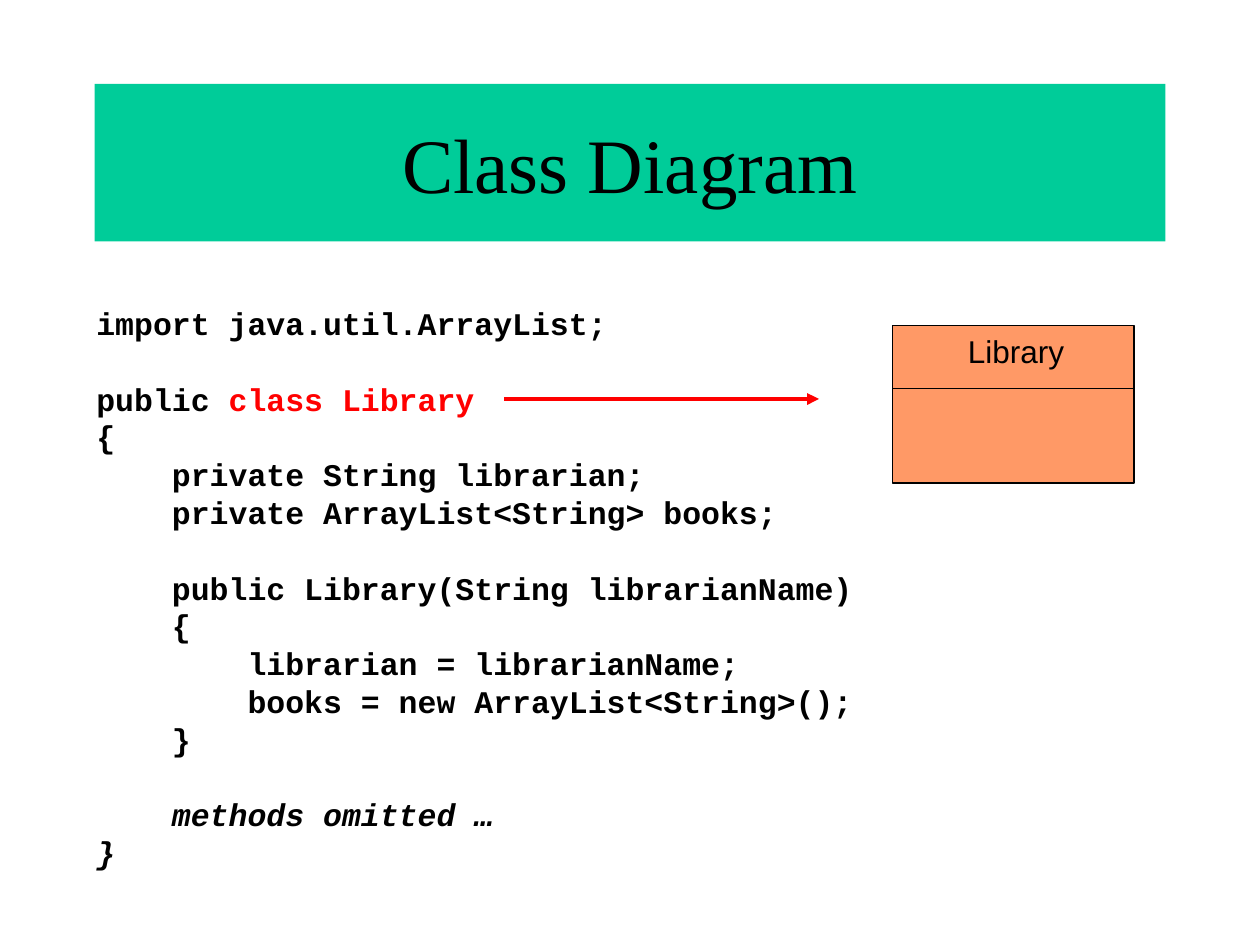
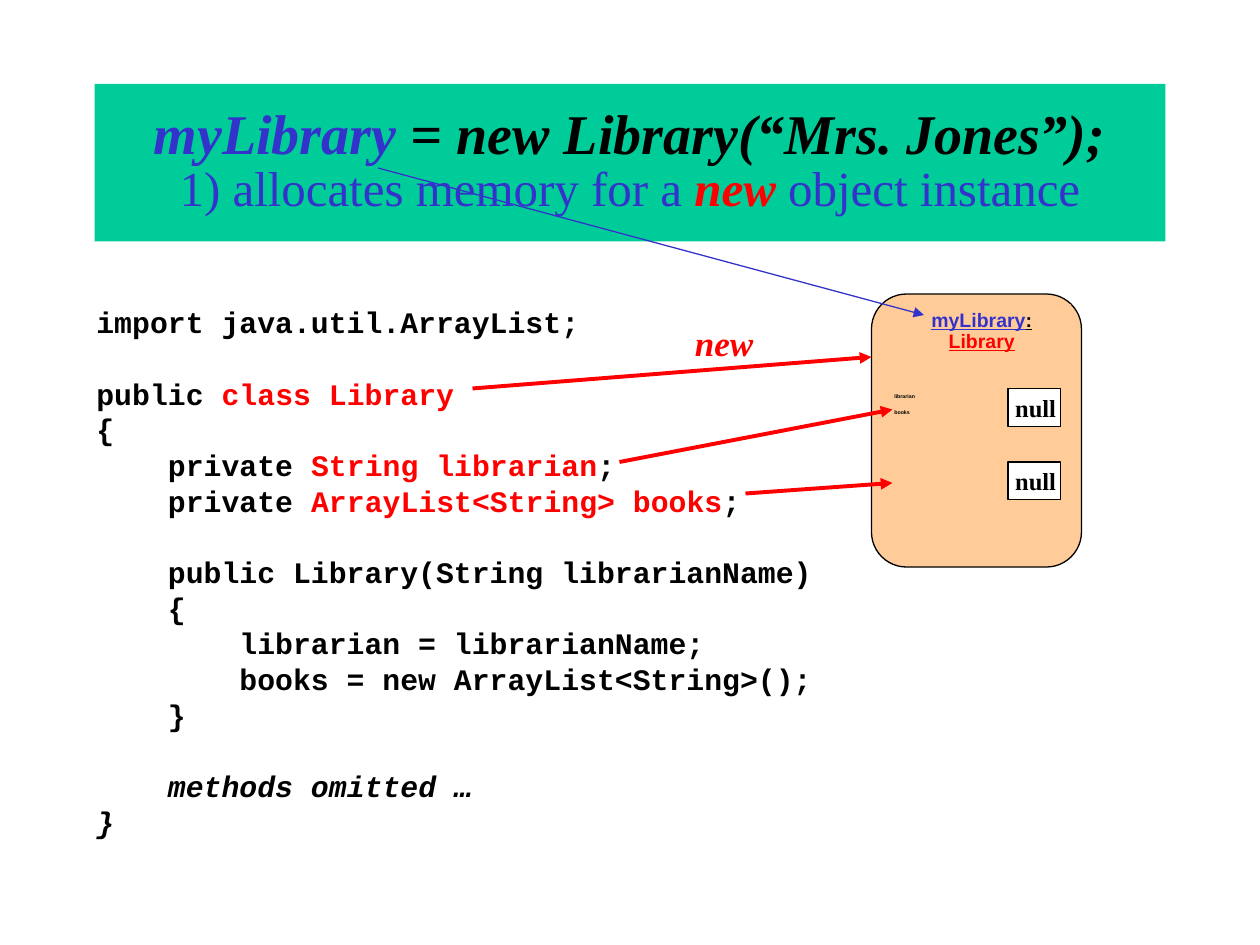
from dataclasses import dataclass, replace

from lxml.etree import SubElement
from pptx import Presentation
from pptx.dml.color import RGBColor
from pptx.enum.shapes import MSO_CONNECTOR as Connector, MSO_SHAPE as Shape
from pptx.enum.text import MSO_ANCHOR as Anchor, MSO_AUTO_SIZE as AutoSize, PP_ALIGN as Align
from pptx.oxml.ns import qn
from pptx.util import Inches, Pt

COLUMNS, ROWS = 120, 90
WIDTH, HEIGHT = Inches(10), Inches(7.5)


@dataclass(frozen=True)
class Style:
    """Look of one run of text."""
    font: str
    size: float
    color: str = "000000"
    bold: bool = False
    italic: bool = False
    underline: bool = False


class Theme:
    BLACK, WHITE, RED, BLUE = "000000", "FFFFFF", "FF0000", "3333CC"
    BAND, CLASS_FILL, OBJECT_FILL = "00CC99", "FF9966", "FFCC99"
    THIN, THICK = 0.75, 2.25
    TITLE = Style("Times New Roman", 44)
    CALL = Style("Times New Roman", 32, bold=True, italic=True)
    STEP = Style("Times New Roman", 28, BLUE)
    CODE = Style("Courier New", 18, bold=True)
    CLASS_NAME = Style("Arial", 18)
    OBJECT_NAME = Style("Arial", 11.1, bold=True, underline=True)
    FIELD = Style("Arial", 3, bold=True)
    VALUE = Style("Times New Roman", 14, bold=True)
    KEYWORD = Style("Times New Roman", 20, RED, bold=True, italic=True)


@dataclass(frozen=True)
class Box:
    """Area in grid columns and rows."""
    left: float
    top: float
    width: float
    height: float

    def inner(self, column, row, width, height):
        return Box(self.left + column, self.top + row, width, height)

    def point(self, column, row):
        return self.left + column, self.top + row

    def lengths(self):
        return (across(self.left), down(self.top), across(self.width), down(self.height))


TITLE_BOX = Box(9, 8, 102, 15)
CODE_BOX = Box(8, 28, 97, 57)


def across(columns):
    return round(WIDTH * columns / COLUMNS)


def down(rows):
    return round(HEIGHT * rows / ROWS)


def rgb(color):
    return RGBColor.from_string(color)


# Text helpers
def add_span(para, text, style):
    span = para.add_run()
    span.text = text
    font = span.font
    font.name, font.size = style.font, Pt(style.size)
    font.bold, font.italic, font.underline = style.bold, style.italic, style.underline
    font.color.rgb = rgb(style.color)


def add_break(para, style):
    para.add_line_break()
    line_break = para._p.findall(qn("a:br"))[-1]
    SubElement(line_break, qn("a:rPr"), sz=str(style.size * 100))


def fill_text(frame, lines, align=Align.LEFT, spacing=None, gap=0):
    """Write lines, each a list of (text, style) spans."""
    frame.word_wrap = True
    frame.vertical_anchor = Anchor.TOP
    for index, spans in enumerate(lines):
        para = frame.add_paragraph() if index else frame.paragraphs[0]
        para.alignment = align
        if spacing:
            para.line_spacing = spacing
        if index and gap:
            para.space_before = Pt(gap)
        for text, style in spans:
            add_span(para, text, style)


def add_label(page, box, lines, **layout):
    fill_text(page.shapes.add_textbox(*box.lengths()).text_frame, lines, **layout)


# Drawing helpers
def add_block(page, box, fill, kind=Shape.RECTANGLE, outlined=True):
    block = page.shapes.add_shape(kind, *box.lengths())
    block.shadow.inherit = False
    block.fill.solid()
    block.fill.fore_color.rgb = rgb(fill)
    if outlined:
        block.line.color.rgb = rgb(Theme.BLACK)
        block.line.width = Pt(Theme.THIN)
    else:
        block.line.fill.background()
    return block


def add_line(page, start, end, color=Theme.RED, width=Theme.THICK, arrow=True):
    line = page.shapes.add_connector(Connector.STRAIGHT, across(start[0]), down(start[1]),
                                     across(end[0]), down(end[1]))
    line.line.color.rgb = rgb(color)
    line.line.width = Pt(width)
    properties = line._element.spPr
    if arrow:
        SubElement(properties.find(qn("a:ln")), qn("a:tailEnd"), type="triangle")
    SubElement(properties, qn("a:effectLst"))


# Title band
def add_title(page, box, lines, spacing=1.0):
    title = page.shapes.title
    title.left, title.top, title.width, title.height = box.lengths()
    title.fill.solid()
    title.fill.fore_color.rgb = rgb(Theme.BAND)
    frame = title.text_frame
    frame.auto_size = AutoSize.NONE
    frame.word_wrap = True
    frame.vertical_anchor = Anchor.MIDDLE
    para = frame.paragraphs[0]
    para.alignment = Align.CENTER
    para.line_spacing = spacing
    for index, spans in enumerate(lines):
        if index:
            add_break(para, lines[index - 1][0][1])
        for text, style in spans:
            add_span(para, text, style)


# Code listing
def library_code(style, mark_fields):
    """Return the blocks of the Library class, each a list of lines."""
    red = replace(style, color=Theme.RED)
    slanted = replace(style, italic=True)
    field = red if mark_fields else style

    def plain(*texts):
        return [[(text, style)] for text in texts]

    return [
        plain("import java.util.ArrayList;"),
        [
            [("public ", style), ("class Library", red)],
            [("{", style)],
            [("    private ", style), ("String librarian", field), (";", style)],
            [("    private ", style), ("ArrayList<String> books", field), (";", style)],
        ],
        plain("    public Library(String librarianName)",
              "    {",
              "        librarian = librarianName;",
              "        books = new ArrayList<String>();",
              "    }"),
        [[("    ", style), ("methods omitted …", slanted)], [("}", slanted)]],
    ]


def add_code(page, box, size, mark_fields=False):
    frame = page.shapes.add_textbox(*box.lengths()).text_frame
    frame.margin_top = Inches(0.08)
    pitch = Pt(size * 1.2)
    blocks = library_code(replace(Theme.CODE, size=size), mark_fields)
    fill_text(frame, [line for block in blocks for line in block], spacing=pitch)
    # One free line above every block but the first
    first = 0
    for block in blocks[:-1]:
        first += len(block)
        frame.paragraphs[first].space_before = pitch


# Class box with a name compartment
def add_class_box(page, box):
    add_block(page, box, Theme.CLASS_FILL)
    add_label(page, box.inner(6, 0, 12, 4.8), [[("Library", Theme.CLASS_NAME)]])
    add_line(page, box.point(0, 6), box.point(box.width, 6),
             Theme.BLACK, Theme.THIN, arrow=False)


# Object box with its fields and their values
def add_object_box(page, box):
    name = Theme.OBJECT_NAME
    add_block(page, box, Theme.OBJECT_FILL, Shape.FLOWCHART_ALTERNATE_PROCESS)
    header = add_block(page, box.inner(2, 1, 17, 5.8), Theme.OBJECT_FILL, outlined=False)
    fill_text(header.text_frame,
              [[("myLibrary", replace(name, color=Theme.BLUE)), (":", name)],
               [("Library", replace(name, color=Theme.RED))]],
              align=Align.CENTER, spacing=0.9)
    fields = add_block(page, box.inner(1, 9, 12, 4), Theme.OBJECT_FILL, outlined=False)
    fill_text(fields.text_frame, [[(field, Theme.FIELD)] for field in ("librarian", "books")],
              spacing=0.8, gap=6.2)
    for row in (9, 16):
        add_block(page, box.inner(13, row, 5, 3.6), Theme.WHITE)
    add_label(page, box.inner(12.5, 8.8, 8, 11), [[("null", Theme.VALUE)]] * 2, gap=25.4)


# Slides
def add_page(deck):
    return deck.slides.add_slide(deck.slide_layouts[5])


def class_slide(deck):
    page = add_page(deck)
    add_title(page, TITLE_BOX, [[("Class Diagram", Theme.TITLE)]])
    add_code(page, CODE_BOX, 18)
    class_box = Box(85, 31, 23, 15)
    add_class_box(page, class_box)
    add_line(page, class_box.point(-37, 7), class_box.point(-7, 7))


def object_slide(deck):
    page = add_page(deck)
    add_title(page, TITLE_BOX, [
        [("myLibrary", replace(Theme.CALL, color=Theme.BLUE)),
         (" = new Library(“Mrs. Jones”);", Theme.CALL)],
        [("1) allocates memory for a ", Theme.STEP),
         ("new", replace(Theme.STEP, color=Theme.RED, bold=True, italic=True)),
         (" object instance", Theme.STEP)],
    ], spacing=0.85)
    add_code(page, replace(CODE_BOX, width=76), 17, mark_fields=True)
    object_box = Box(83, 28, 20, 26)
    add_object_box(page, object_box)
    # Arrows from the code to the object
    for start, end in (((45, 37), (0, 6)), ((59, 44), (2, 11)), ((71, 47), (2, 18))):
        add_line(page, start, object_box.point(*end))
    add_label(page, Box(65, 30, 9, 5.3), [[("new", Theme.KEYWORD)]])
    # Arrow from the variable in the title
    add_line(page, TITLE_BOX.point(27, 8), object_box.point(5, 2), Theme.BLUE, Theme.THIN)


def main():
    deck = Presentation()
    deck.slide_width, deck.slide_height = WIDTH, HEIGHT
    class_slide(deck)
    object_slide(deck)
    deck.save("out.pptx")


if __name__ == "__main__":
    main()
